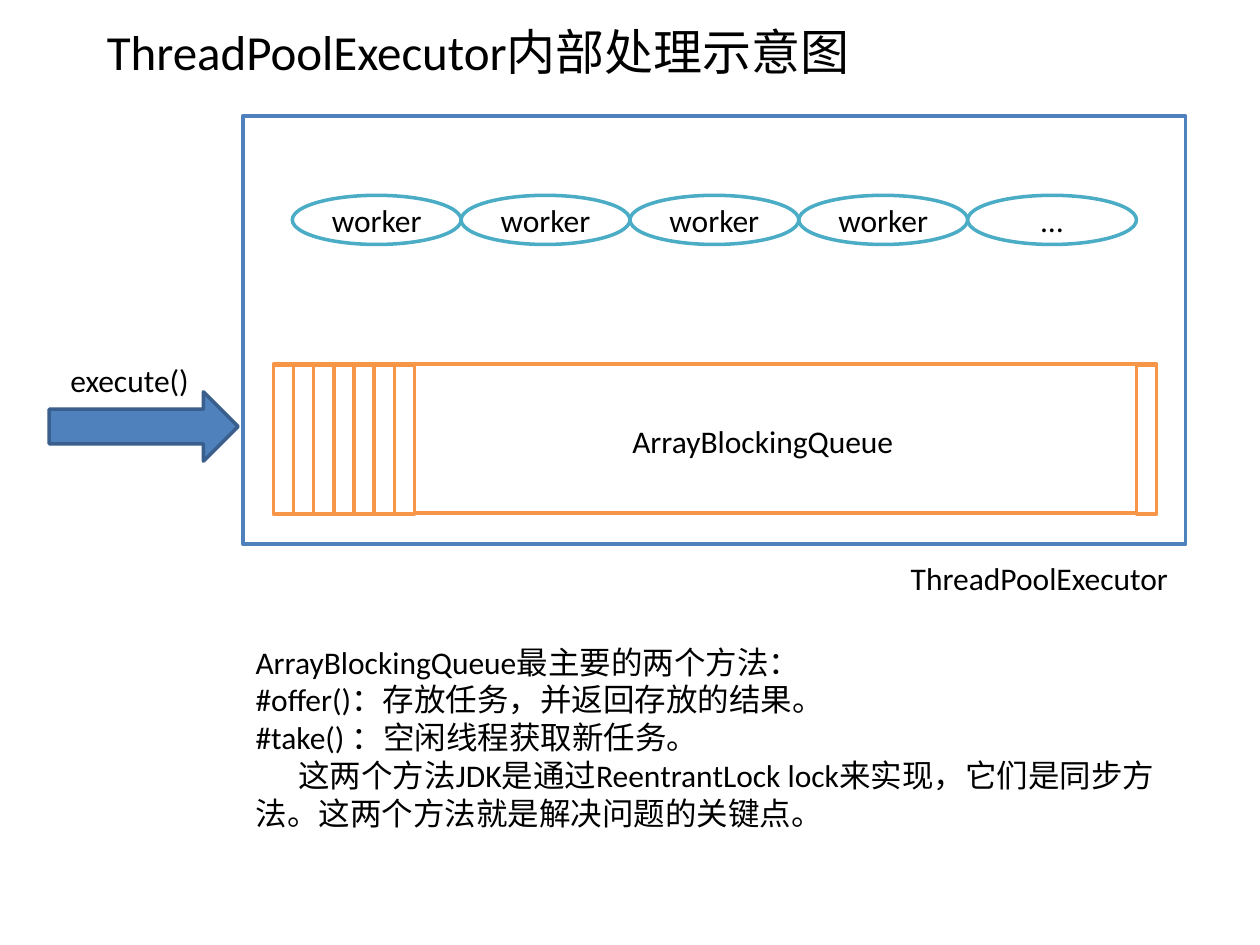
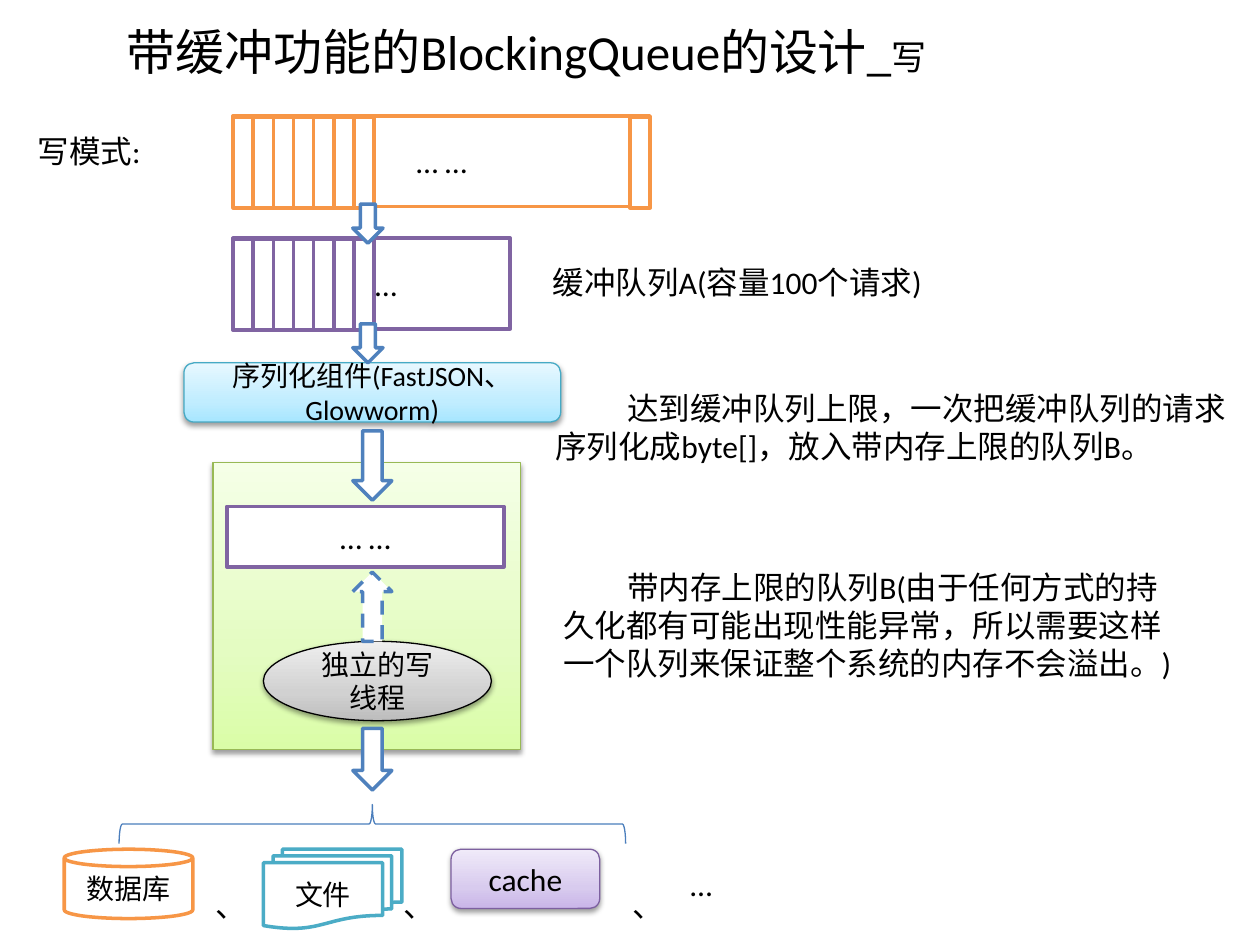
from dataclasses import dataclass
from typing import Optional

from lxml import etree
from pptx import Presentation
from pptx import util as u
from pptx.dml.color import RGBColor
from pptx.enum import dml, shapes, text
from pptx.oxml.ns import qn

FONT = "Calibri"
BODY, SMALL, TITLE = 18, 16, 28
CELL = 0.16  # width of one queue slot
COLORS = {
    "black": "000000", "white": "FFFFFF",
    "blue": "4F81BD", "dark_blue": "3A5F8C", "brace": "4B7EBC",
    "teal": "4BACC6", "orange": "F79646", "purple": "8064A2",
    "green_edge": "98B955", "sky_edge": "46AAC5", "violet_edge": "7D60A0",
}
# Gradients run from the bottom edge to the top edge
GRADIENTS = {
    "green": ("DAFDA7", "E4FCC2", "F5FFE7"),
    "gray": ("BDBDBD", "D1D1D1", "EEEEEE"),
    "violet": ("C9B5E8", "D8CBEE", "F0EAF9"),
    "sky": ("A7E6FF", "C1EDFF", "E7F8FF"),
}
KIND = shapes.MSO_SHAPE


@dataclass
class Run:
    text: str
    size: int = BODY


@dataclass
class Line:
    runs: list[Run]
    indent: float = 0


@dataclass
class Box:
    left: float
    top: float
    width: float
    height: float

    def lengths(self) -> list[u.Length]:
        return [u.Inches(value) for value in (self.left, self.top, self.width, self.height)]


@dataclass
class Style:
    line: str
    fill: Optional[str] = "white"
    weight: float = 2
    dashed: bool = False


def raised(fill: str, line: str) -> Style:
    """Style of the shaded shapes with a thin edge."""
    return Style(line, fill, 0.75)


def lines(*texts: str, size: int = BODY) -> list[Line]:
    return [Line([Run(content, size)]) for content in texts]


def color(name: str) -> RGBColor:
    return RGBColor.from_string(COLORS[name])


def write(frame, content: list[Line], align) -> None:
    for index, line in enumerate(content):
        paragraph = frame.paragraphs[0] if index == 0 else frame.add_paragraph()
        paragraph.alignment = align
        if line.indent:
            paragraph._p.get_or_add_pPr().set("indent", str(u.Inches(line.indent)))
        for item in line.runs:
            run = paragraph.add_run()
            run.text = item.text
            run.font.name = FONT
            run.font.size = u.Pt(item.size)
            run.font.color.rgb = color("black")


def shade(shape, name: str) -> None:
    """Three-stop vertical gradient."""
    shape.fill.gradient()
    gradient = shape.element.spPr.find(qn("a:gradFill"))
    stops = gradient.find(qn("a:gsLst"))
    for stop in list(stops):
        stops.remove(stop)
    for position, value in zip((0, 35, 100), GRADIENTS[name]):
        stop = etree.SubElement(stops, qn("a:gs"), pos=str(position * 1000))
        etree.SubElement(stop, qn("a:srgbClr"), val=value)
    shape.fill.gradient_angle = 90


def drop_shadow(shape) -> None:
    effects = shape.element.spPr.find(qn("a:effectLst"))
    shadow = etree.SubElement(effects, qn("a:outerShdw"), blurRad=str(u.Pt(3.1)),
                              dist=str(u.Pt(1.6)), dir="5400000", rotWithShape="0")
    tint = etree.SubElement(shadow, qn("a:srgbClr"), val=COLORS["black"])
    etree.SubElement(tint, qn("a:alpha"), val="38000")


def add_shape(slide, kind, box: Box, style: Style, content: Optional[list[Line]] = None):
    shape = slide.shapes.add_shape(kind, *box.lengths())
    shape.shadow.inherit = False
    if style.fill in GRADIENTS:
        shade(shape, style.fill)
        drop_shadow(shape)
    elif style.fill:
        shape.fill.solid()
        shape.fill.fore_color.rgb = color(style.fill)
    else:
        shape.fill.background()
    shape.line.color.rgb = color(style.line)
    shape.line.width = u.Pt(style.weight)
    if style.dashed:
        shape.line.dash_style = dml.MSO_LINE.DASH
    if content:
        write(shape.text_frame, content, text.PP_ALIGN.CENTER)
    return shape


def add_text(slide, box: Box, content: list[Line], wrap: bool = False):
    shape = slide.shapes.add_textbox(*box.lengths())
    shape.text_frame.word_wrap = wrap
    write(shape.text_frame, content, text.PP_ALIGN.LEFT)
    return shape


def add_title(slide, left: float, *runs: Run) -> None:
    shape = add_text(slide, Box(left, 0.05, 8.5, 0.71), [Line(list(runs))], wrap=True)
    shape.text_frame.vertical_anchor = text.MSO_ANCHOR.MIDDLE


def add_queue(slide, box: Box, line: str, content: Optional[list[Line]] = None,
              last_slot: bool = True) -> None:
    """Queue body with seven slots at its head and one at its end."""
    add_shape(slide, KIND.RECTANGLE, box, Style(line), content)
    lefts = [box.left + index * CELL for index in range(7)]
    if last_slot:
        lefts.append(box.left + box.width - CELL)
    for left in lefts:
        add_shape(slide, KIND.RECTANGLE, Box(left, box.top + 0.01, CELL, box.height), Style(line))


def build_executor_slide(slide) -> None:
    add_title(slide, 0.75, Run("ThreadPoolExecutor内部处理示意图", TITLE))

    # Executor frame
    add_shape(slide, KIND.RECTANGLE, Box(1.93, 0.92, 7.48, 3.4), Style("blue"))
    add_text(slide, Box(7.13, 4.39, 2.27, 0.4), lines("ThreadPoolExecutor"))

    # Workers
    width = 1.34
    for index, label in enumerate(["worker"] * 4 + ["…"]):
        add_shape(slide, KIND.OVAL, Box(2.32 + index * width, 1.55, width, 0.39),
                  Style("teal"), lines(label))

    # Task queue
    add_queue(slide, Box(2.17, 2.89, 7.01, 1.18), "orange")
    add_text(slide, Box(4.92, 3.3, 2.3, 0.4), lines("ArrayBlockingQueue"))

    # Incoming call
    add_shape(slide, KIND.RIGHT_ARROW, Box(0.39, 3.11, 1.5, 0.55), Style("dark_blue", "blue"))
    add_text(slide, Box(0.46, 2.82, 1.15, 0.4), lines("execute()"))

    # Explanation
    notes = lines(
        "ArrayBlockingQueue最主要的两个方法：",
        "#offer()：存放任务，并返回存放的结果。",
        "#take() ：空闲线程获取新任务。",
        "这两个方法JDK是通过ReentrantLock lock来实现，它们是同步方法。"
        "这两个方法就是解决问题的关键点。",
    )
    notes[-1].indent = 0.34
    add_text(slide, Box(1.93, 5.05, 7.56, 1.62), notes, wrap=True)


def build_write_slide(slide) -> None:
    dots = lines("… …")
    arrow = Style("blue")

    # Background of queue B and its writer
    add_shape(slide, KIND.RECTANGLE, Box(1.69, 3.67, 2.44, 2.28), raised("green", "green_edge"))
    add_title(slide, 0.91, Run("带缓冲功能的BlockingQueue的设计_", TITLE), Run("写", 20))

    # Request queue and buffer queue A
    add_text(slide, Box(0.2, 1, 1.03, 0.4), lines("写模式:"))
    add_queue(slide, Box(1.85, 0.92, 3.31, 0.72), "orange", dots)
    add_queue(slide, Box(1.85, 1.89, 2.2, 0.72), "purple", dots, last_slot=False)
    add_text(slide, Box(4.29, 2.04, 3.16, 0.4), lines("缓冲队列A(容量100个请求)"), wrap=True)

    # Serializer
    add_shape(slide, KIND.ROUNDED_RECTANGLE, Box(1.46, 2.88, 2.99, 0.47),
              raised("sky", "sky_edge"),
              lines("序列化组件(FastJSON、", "Glowworm)", size=SMALL))
    limit = lines("达到缓冲队列上限，一次把缓冲队列的请求",
                  "序列化成byte[]，放入带内存上限的队列B。")
    limit[0].indent = 0.57
    add_text(slide, Box(4.31, 3.04, 5.58, 0.71), limit, wrap=True)

    # Queue B and the writer thread
    add_shape(slide, KIND.RECTANGLE, Box(1.8, 4.02, 2.2, 0.48), Style("purple"), dots)
    add_shape(slide, KIND.OVAL, Box(2.09, 5.09, 1.81, 0.63), raised("gray", "black"),
              lines("独立的写线程", size=SMALL))
    memory = lines("带内存上限的队列B(由于任何方式的持",
                   "久化都有可能出现性能异常，所以需要这样",
                   "一个队列来保证整个系统的内存不会溢出。)")
    memory[0].indent = 0.51
    add_text(slide, Box(4.37, 4.46, 5.08, 1.01), memory, wrap=True)

    # Flow arrows
    for top in (1.62, 2.57):
        add_shape(slide, KIND.DOWN_ARROW, Box(2.8, top, 0.24, 0.31), arrow)
    for top, height in ((3.42, 0.55), (5.78, 0.49)):
        add_shape(slide, KIND.DOWN_ARROW, Box(2.8, top, 0.31, height), arrow)
    add_shape(slide, KIND.UP_ARROW, Box(2.8, 4.54, 0.31, 0.55), Style("blue", dashed=True))

    # Storage targets under a brace
    brace = add_shape(slide, KIND.LEFT_BRACE, Box(2.8, 4.53, 0.31, 4.02),
                      Style("brace", None, 0.75))
    brace.rotation = 90
    add_shape(slide, KIND.CAN, Box(0.51, 6.74, 1.02, 0.55), Style("orange"),
              lines("数据库", size=SMALL))
    add_shape(slide, KIND.FLOWCHART_MULTIDOCUMENT, Box(2.09, 6.74, 1.1, 0.63), Style("teal"),
              lines("文件", size=SMALL))
    add_shape(slide, KIND.ROUNDED_RECTANGLE, Box(3.58, 6.74, 1.18, 0.47),
              raised("violet", "violet_edge"), lines("cache"))
    for left in (1.61, 3.1, 4.92):
        add_text(slide, Box(left, 6.98, 0.45, 0.4), lines("、"))
    add_text(slide, Box(5.38, 6.82, 0.38, 0.4), lines("…"))


presentation = Presentation()
presentation.slide_width = u.Inches(10)
presentation.slide_height = u.Inches(7.5)
blank = presentation.slide_layouts[6]
for build in (build_executor_slide, build_write_slide):
    build(presentation.slides.add_slide(blank))
presentation.save("out.pptx")
